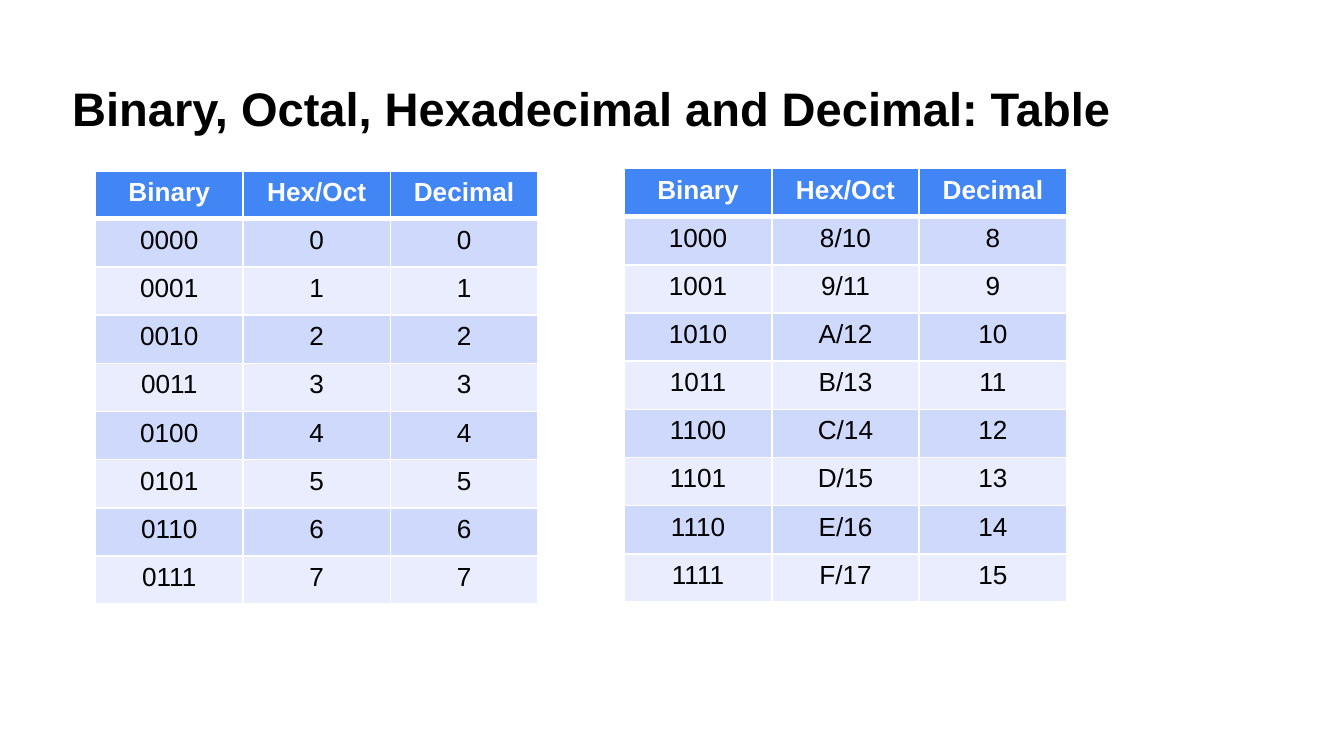
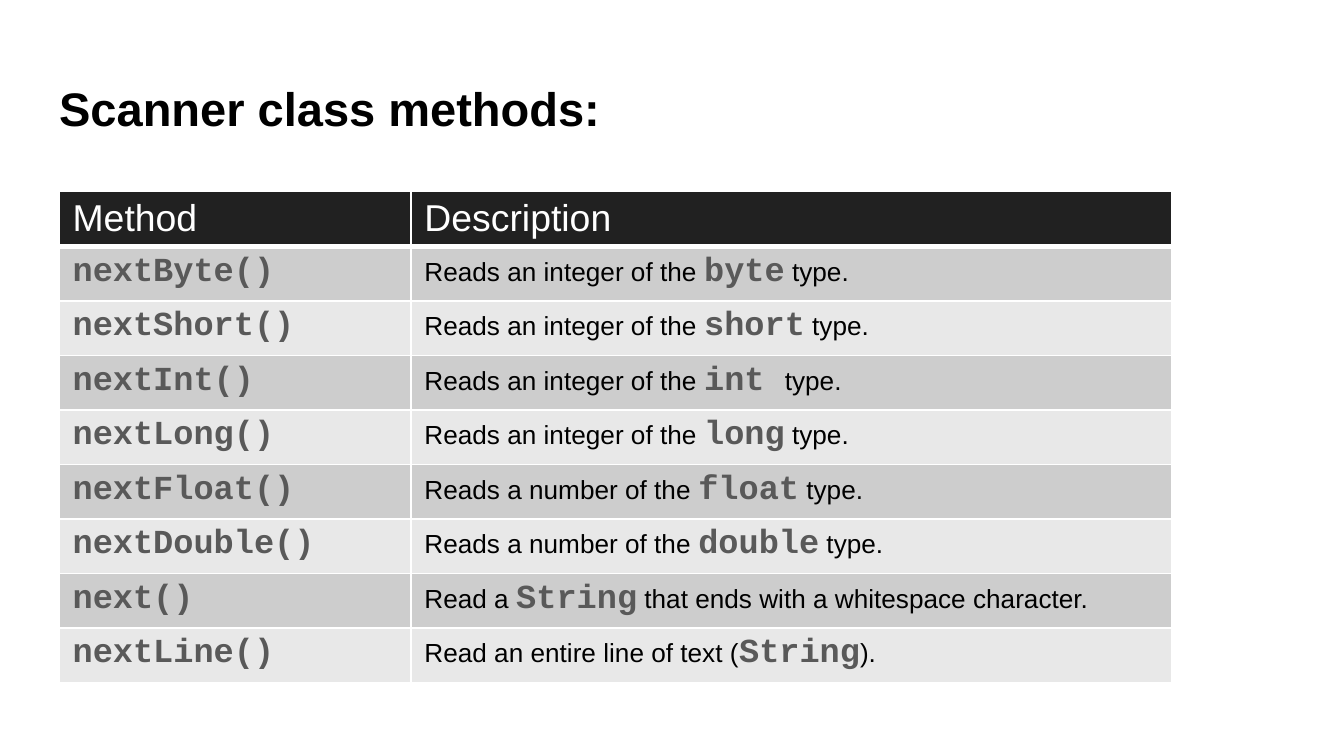
from lxml import etree
from pptx import Presentation
from pptx.dml.color import RGBColor
from pptx.enum.text import MSO_ANCHOR, MSO_AUTO_SIZE, PP_ALIGN
from pptx.oxml.ns import qn
from pptx.util import Pt

LEFT, CENTER = PP_ALIGN.LEFT, PP_ALIGN.CENTER
MIDDLE = MSO_ANCHOR.MIDDLE
NO_AUTOFIT = MSO_AUTO_SIZE.NONE
TITLE_ONLY = 5

COLORS = {
    "text": "000000",
    "white": "FFFFFF",
    "code": "595959",
    "blue": "4285F4",
    "blue_bands": ("CFD9FB", "E9EDFD"),
    "black": "212121",
    "gray_bands": ("CDCDCD", "E8E8E8"),
}

# Text styles: font, size, colour, bold
TITLE = ("Arial", 25.2, COLORS["text"], True)
NUMBER_HEADER = ("Arial", 14, COLORS["white"], True)
METHOD_HEADER = ("Arial", 20, COLORS["white"], False)
BODY = ("Arial", 14, COLORS["text"], False)
CODE = ("Courier New", 18, COLORS["code"], True)

THIN, THICK = 1, 3

METHODS = [
    ("nextByte()", "Reads an integer of the ", "byte", " type."),
    ("nextShort()", "Reads an integer of the ", "short", " type."),
    ("nextInt()", "Reads an integer of the ", "int ", "type."),
    ("nextLong()", "Reads an integer of the ", "long", " type."),
    ("nextFloat()", "Reads a number of the ", "float", " type."),
    ("nextDouble()", "Reads a number of the ", "double", " type."),
    ("next()", "Read a ", "String", " that ends with a whitespace character."),
    ("nextLine()", "Read an entire line of text (", "String", ")."),
]


def add_run(paragraph, text, style):
    name, size, color, bold = style
    run = paragraph.add_run()
    run.text = text
    run.font.name = name
    run.font.size = Pt(size)
    run.font.color.rgb = RGBColor.from_string(color)
    run.font.bold = bold


def add_titled_slide(presentation, text, indent=0):
    slide = presentation.slides.add_slide(presentation.slide_layouts[TITLE_ONLY])
    title = slide.shapes.title
    title.left, title.top, title.width, title.height = Pt(24.5), Pt(35), Pt(671), Pt(45.5)
    frame = title.text_frame
    frame.auto_size = NO_AUTOFIT
    frame.word_wrap = True
    frame.vertical_anchor = MIDDLE
    frame.margin_left = Pt(7.2 + indent)
    frame.margin_right = frame.margin_top = frame.margin_bottom = Pt(7.2)
    paragraph = frame.paragraphs[0]
    paragraph.alignment = LEFT
    add_run(paragraph, text, TITLE)
    return slide


def set_borders(cell, top, bottom):
    """Draw white lines on all four sides; top and bottom are widths in points."""
    properties = cell._tc.get_or_add_tcPr()
    for side, width in (("L", THIN), ("R", THIN), ("T", top), ("B", bottom)):
        line = etree.SubElement(properties, qn(f"a:ln{side}"), w=str(Pt(width)))
        fill = etree.SubElement(line, qn("a:solidFill"))
        etree.SubElement(fill, qn("a:srgbClr"), val=COLORS["white"])


def add_banded_table(slide, left, top, column_widths, row_height, rows,
                     header_fill, bands, alignment, first_body_top):
    """Each cell in rows is a list of (text, style) runs; the first row is the header."""
    table = slide.shapes.add_table(
        len(rows), len(column_widths), Pt(left), Pt(top),
        Pt(sum(column_widths)), Pt(row_height * len(rows))).table
    for column, width in zip(table.columns, column_widths):
        column.width = Pt(width)
    for row_index, row in enumerate(rows):
        table.rows[row_index].height = Pt(row_height)
        is_header = row_index == 0
        fill = header_fill if is_header else bands[(row_index - 1) % 2]
        for column_index, runs in enumerate(row):
            cell = table.cell(row_index, column_index)
            set_borders(cell, first_body_top if row_index == 1 else THIN,
                        THICK if is_header else THIN)
            cell.fill.solid()
            cell.fill.fore_color.rgb = RGBColor.from_string(fill)
            paragraph = cell.text_frame.paragraphs[0]
            paragraph.alignment = alignment
            for text, style in runs:
                add_run(paragraph, text, style)


def add_number_table(slide, left, top, numbers):
    rows = [[[(label, NUMBER_HEADER)] for label in ("Binary", "Hex/Oct", "Decimal")]]
    for number in numbers:
        hex_oct = f"{number:X}/{number:o}" if number > 7 else str(number)
        rows.append([[(text, BODY)] for text in (f"{number:04b}", hex_oct, str(number))])
    add_banded_table(slide, left, top, [79] * 3, 25.8, rows,
                     COLORS["blue"], COLORS["blue_bands"], CENTER, THICK)


def add_method_table(slide):
    rows = [[[(label, METHOD_HEADER)] for label in ("Method", "Description")]]
    for method, before, code, after in METHODS:
        rows.append([[(method, CODE)],
                     [(before, BODY), (code, CODE), (after, BODY)]])
    add_banded_table(slide, 31.7, 102.5, [188.5, 407.5], 29.2, rows,
                     COLORS["black"], COLORS["gray_bands"], LEFT, THIN)


def main():
    presentation = Presentation()
    presentation.slide_width = Pt(720)
    presentation.slide_height = Pt(405)

    slide = add_titled_slide(
        presentation, "Binary, Octal, Hexadecimal and Decimal: Table", indent=7)
    add_number_table(slide, 51.2, 91.5, range(8))
    add_number_table(slide, 334.5, 90.3, range(8, 16))

    slide = add_titled_slide(presentation, "Scanner class methods:")
    add_method_table(slide)

    presentation.save("out.pptx")


if __name__ == "__main__":
    main()
